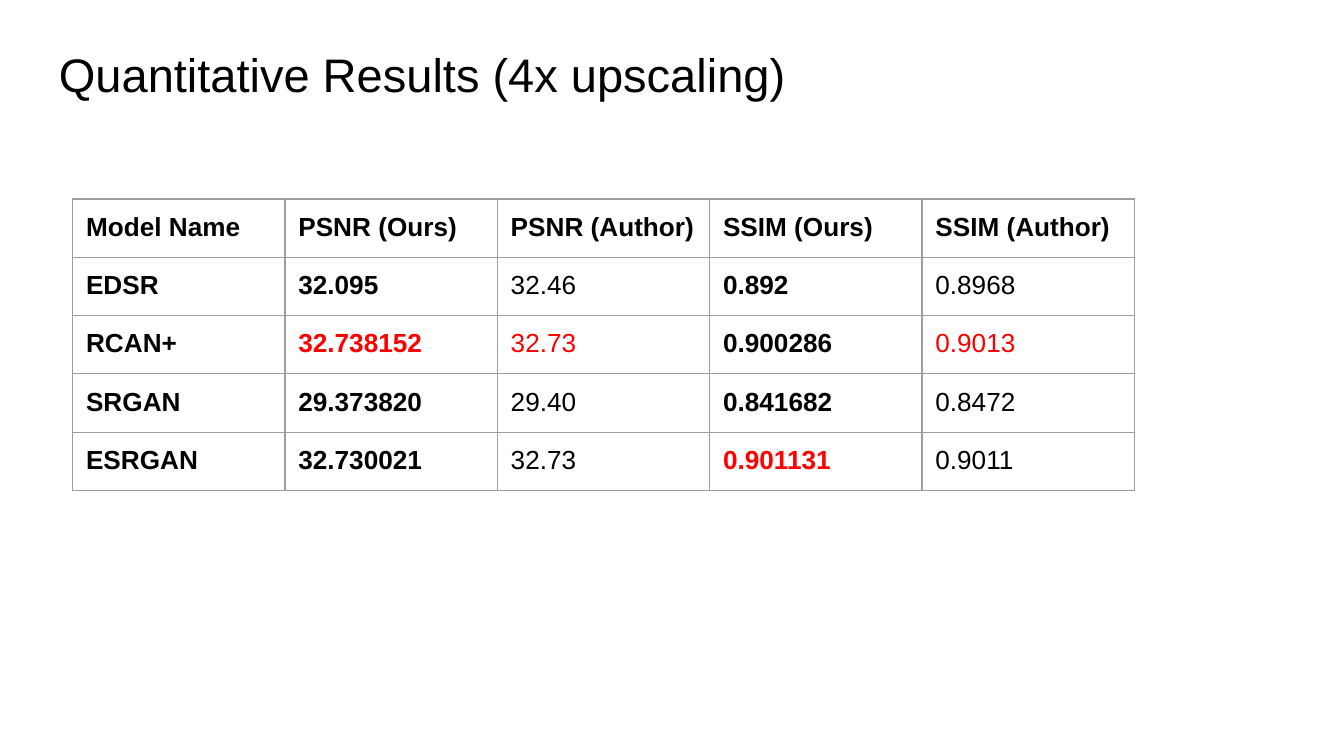
from pptx import Presentation
from pptx.dml.color import RGBColor
from pptx.enum.text import MSO_ANCHOR
from pptx.oxml import parse_xml
from pptx.oxml.ns import nsdecls
from pptx.util import Inches, Pt

BLACK = RGBColor(0x00, 0x00, 0x00)
RED = RGBColor(0xFF, 0x00, 0x00)
GREY = RGBColor(0x9E, 0x9E, 0x9E)
FONT = "Arial"
INSET = 0.1
COLUMN_WIDTH = 1.58
ROW_HEIGHT = 0.42

HEADER = ["Model Name", "PSNR (Ours)", "PSNR (Author)", "SSIM (Ours)", "SSIM (Author)"]
RESULTS = [
    ["EDSR", "32.095", "32.46", "0.892", "0.8968"],
    ["RCAN+", "32.738152", "32.73", "0.900286", "0.9013"],
    ["SRGAN", "29.373820", "29.40", "0.841682", "0.8472"],
    ["ESRGAN", "32.730021", "32.73", "0.901131", "0.9011"],
]
BEST = {(2, 1), (2, 2), (2, 4), (4, 3)}
AUTHOR_COLUMNS = {2, 4}


def add_span(para, text, size, color=BLACK, bold=False):
    """Add one styled run to a paragraph."""
    span = para.add_run()
    span.text = text
    span.font.name = FONT
    span.font.size = Pt(size)
    span.font.bold = bold
    span.font.color.rgb = color


def set_insets(holder):
    """Give a text frame or cell even margins."""
    holder.margin_left = holder.margin_right = Inches(INSET)
    holder.margin_top = holder.margin_bottom = Inches(INSET)


def add_title(page, left, top, width, height):
    """Place the slide title in the given box."""
    box = page.shapes.add_textbox(Inches(left), Inches(top), Inches(width), Inches(height))
    frame = box.text_frame
    frame.word_wrap = True
    frame.vertical_anchor = MSO_ANCHOR.TOP
    set_insets(frame)
    add_span(frame.paragraphs[0], "Quantitative Results (4x upscaling)", 25.2)


def style_cell(cell):
    """Give a cell grey borders, even margins and no fill."""
    properties = cell._tc.get_or_add_tcPr()
    for side in ("lnL", "lnR", "lnT", "lnB"):
        properties.append(parse_xml(
            f'<a:{side} {nsdecls("a")} w="{Pt(0.75)}"><a:solidFill>'
            f'<a:srgbClr val="{GREY}"/></a:solidFill></a:{side}>'))
    cell.fill.background()
    set_insets(cell)


def add_results(page, left, top, width, height):
    """Place the model comparison table in the given box."""
    rows = [HEADER, *RESULTS]
    holder = page.shapes.add_table(len(rows), len(HEADER), Inches(left), Inches(top),
                                   Inches(width), Inches(height))
    table = holder.table
    table.first_row = False
    table.horz_banding = False
    for column in table.columns:
        column.width = Inches(COLUMN_WIDTH)
    for row in table.rows:
        row.height = Inches(ROW_HEIGHT)
    holder.width, holder.height = Inches(width), Inches(height)
    for r, values in enumerate(rows):
        for c, value in enumerate(values):
            cell = table.cell(r, c)
            style_cell(cell)
            color = RED if (r, c) in BEST else BLACK
            bold = r == 0 or c not in AUTHOR_COLUMNS
            add_span(cell.text_frame.paragraphs[0], value, 14, color, bold)


def main():
    """Build and save the deck."""
    deck = Presentation()
    deck.slide_width = Inches(10)
    deck.slide_height = deck.slide_width * 9 // 16
    page = deck.slides.add_slide(deck.slide_layouts[6])
    add_title(page, 0.34, 0.24, 9.32, 0.63)
    add_results(page, 0.54, 1.48, 3.28, 3.28)
    deck.save("out.pptx")


if __name__ == "__main__":
    main()
